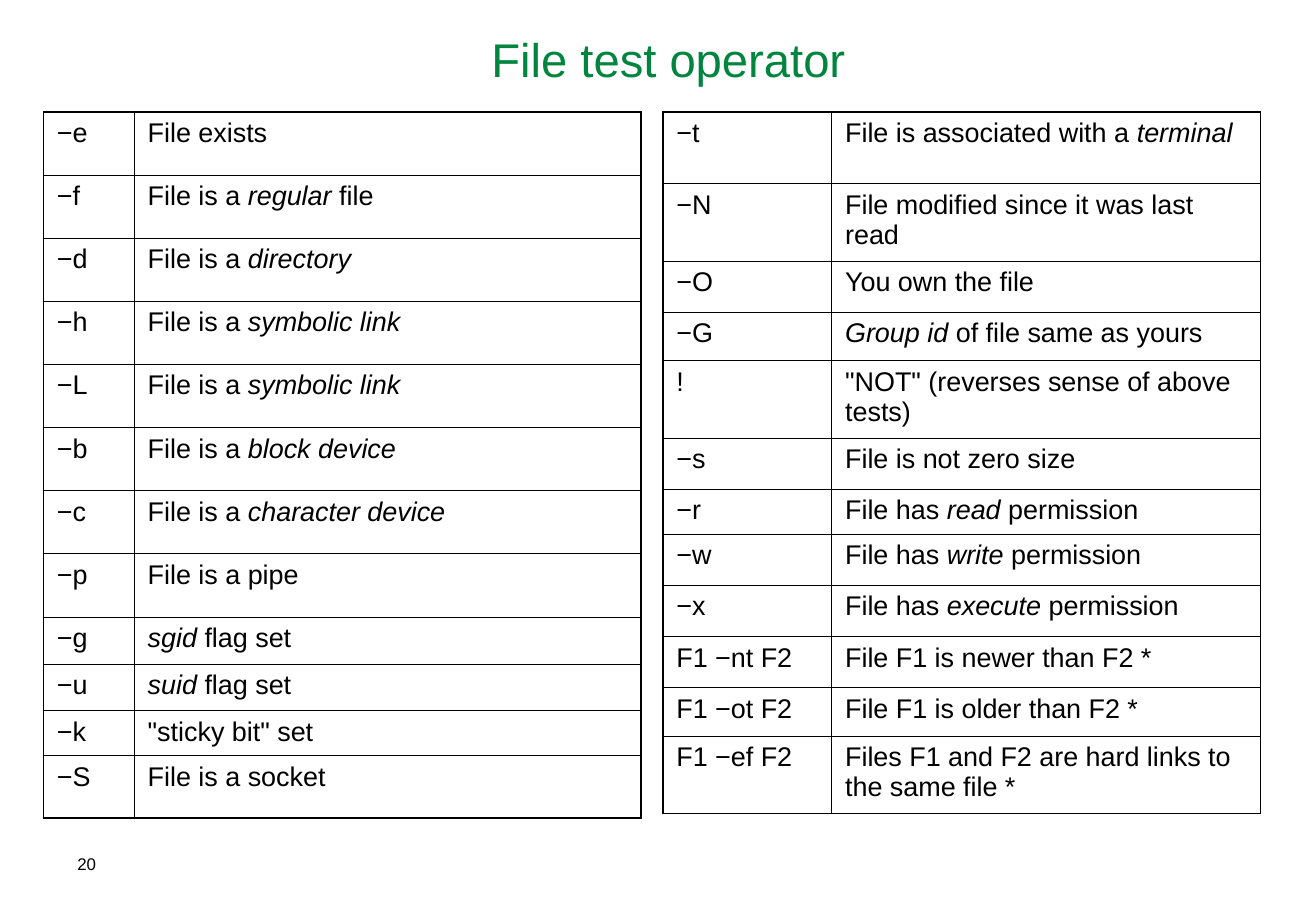
from lxml.etree import SubElement
from pptx import Presentation
from pptx.dml.color import RGBColor
from pptx.enum.text import MSO_ANCHOR, PP_ALIGN
from pptx.oxml.ns import qn
from pptx.util import Cm, Pt

COLORS = {"title": "00853F", "text": "000000", "border": "000000"}
FONT = "Arial"
OUTER, INNER = 1.08, 0.45

FILE_TYPES = [
    ("−e", "File exists", 1.32),
    ("−f", "File is a _regular _file", 1.32),
    ("−d", "File is a _directory_", 1.32),
    ("−h", "File is a _symbolic link_", 1.32),
    ("−L", "File is a _symbolic link_", 1.32),
    ("−b", "File is a _block device_", 1.32),
    ("−c", "File is a _character device_", 1.32),
    ("−p", "File is a pipe", 1.32),
    ("−g", "_sgid _flag set", 0.99),
    ("−u", "_suid _flag set", 0.97),
    ("−k", '"sticky bit" set', 0.94),
    ("−S", "File is a socket", 1.3),
]
FILE_STATES = [
    ("−t", "File is associated with a _terminal_", 1.5),
    ("−N", "File modified since it was last read", 1.6),
    ("−O", "You own the file", 1.07),
    ("−G", "_Group id _of file same as yours", 1.02),
    ("!", '"NOT" (reverses sense of above tests)', 1.6),
    ("−s", "File is not zero size", 1.07),
    ("−r", "File has _read _permission", 0.94),
    ("−w", "File has _write _permission", 1.07),
    ("−x", "File has _execute _permission", 1.07),
    ("F1 −nt F2", "File F1 is newer than F2 *", 1.07),
    ("F1 −ot F2", "File F1 is older than F2 *", 1.02),
    ("F1 −ef F2", "Files F1 and F2 are hard links to the same file *", 1.6),
]


def set_font(paragraph, size, color):
    paragraph.font.name = FONT
    paragraph.font.size = Pt(size)
    paragraph.font.color.rgb = RGBColor.from_string(COLORS[color])


def add_label(slide, box, text, size, color, align):
    frame = slide.shapes.add_textbox(*map(Cm, box)).text_frame
    frame.word_wrap = True
    frame.vertical_anchor = MSO_ANCHOR.MIDDLE
    frame.margin_top = 0
    label = frame.paragraphs[0]
    label.text = text
    label.alignment = align
    set_font(label, size, color)


def set_borders(cell, widths):
    properties = cell._tc.get_or_add_tcPr()
    for side, width in widths.items():
        line = SubElement(properties, qn(f"a:ln{side}"), w=str(Pt(width)))
        fill = SubElement(line, qn("a:solidFill"))
        SubElement(fill, qn("a:srgbClr"), val=COLORS["border"])


def fill_cell(cell, text):
    cell.fill.background()
    cell.margin_left = cell.margin_right = Cm(0.28)
    cell.margin_top = cell.margin_bottom = Cm(0.13)
    description = cell.text_frame.paragraphs[0]
    description.space_before = Pt(4)
    set_font(description, 16, "text")
    for index, part in enumerate(text.split("_")):
        if part:
            run = description.add_run()
            run.text = part
            if index % 2:
                run.font.italic = True


def add_operator_table(slide, box, operator_width, operators):
    left, top, width = box
    height = sum(row_height for _, _, row_height in operators)
    table = slide.shapes.add_table(
        len(operators), 2, Cm(left), Cm(top), Cm(width), Cm(height)
    ).table
    table.first_row = table.horz_banding = False
    table.columns[0].width = Cm(operator_width)
    table.columns[1].width = Cm(width - operator_width)
    last = len(operators) - 1
    for row, (operator, meaning, row_height) in enumerate(operators):
        table.rows[row].height = Cm(row_height)
        for column, text in enumerate((operator, meaning)):
            cell = table.cell(row, column)
            set_borders(cell, {
                "L": OUTER if column == 0 else INNER,
                "R": OUTER if column == 1 else INNER,
                "T": OUTER if row == 0 else INNER,
                "B": OUTER if row == last else INNER,
            })
            fill_cell(cell, text)


def build_operator_slide(presentation):
    slide = presentation.slides.add_slide(presentation.slide_layouts[6])
    add_label(slide, (1.37, 0.43, 25.22, 1.7), "File test operator",
              28, "title", PP_ALIGN.CENTER)
    add_operator_table(slide, (0.91, 2.34, 12.5), 1.9, FILE_TYPES)
    add_operator_table(slide, (13.87, 2.34, 12.5), 3.53, FILE_STATES)
    add_label(slide, (1.37, 17.78, 1.37, 0.69), "20", 10, "text", PP_ALIGN.LEFT)


def main():
    presentation = Presentation()
    presentation.slide_width = Cm(27.53)
    presentation.slide_height = Cm(19.05)
    build_operator_slide(presentation)
    presentation.save("out.pptx")


if __name__ == "__main__":
    main()
